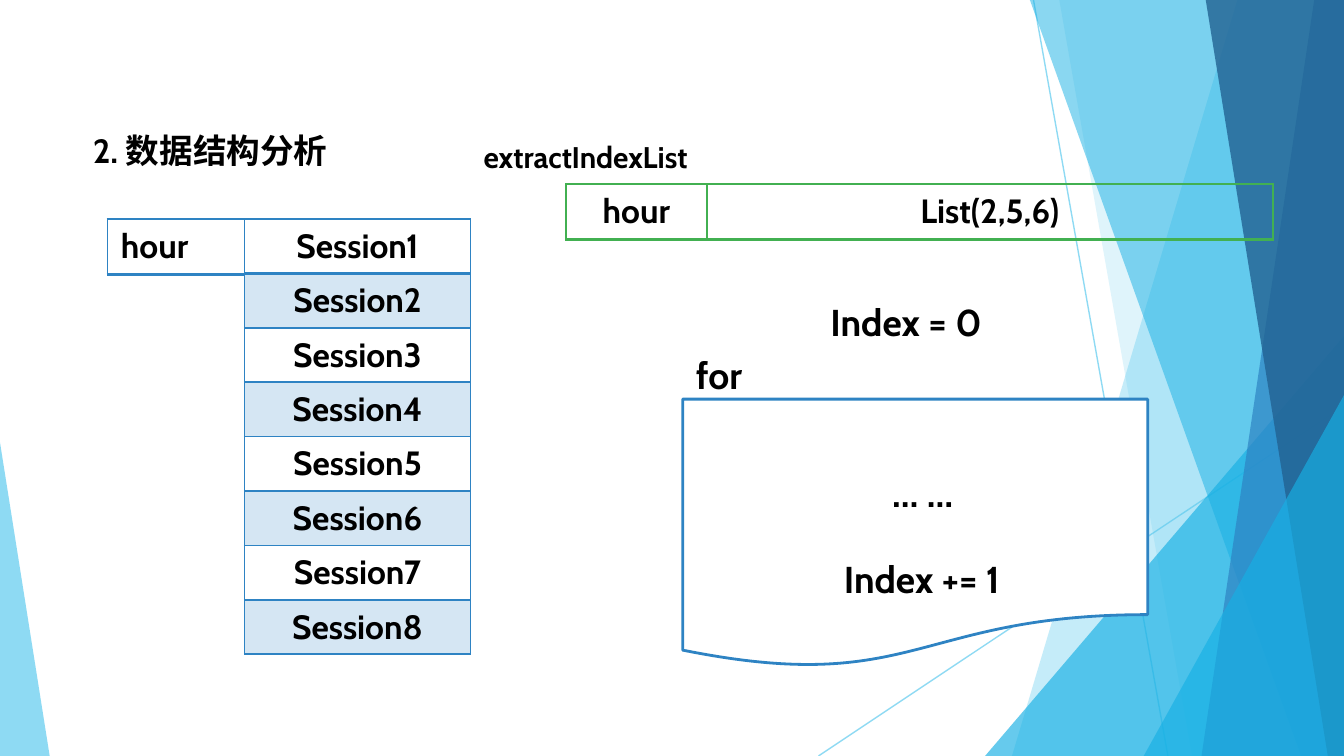
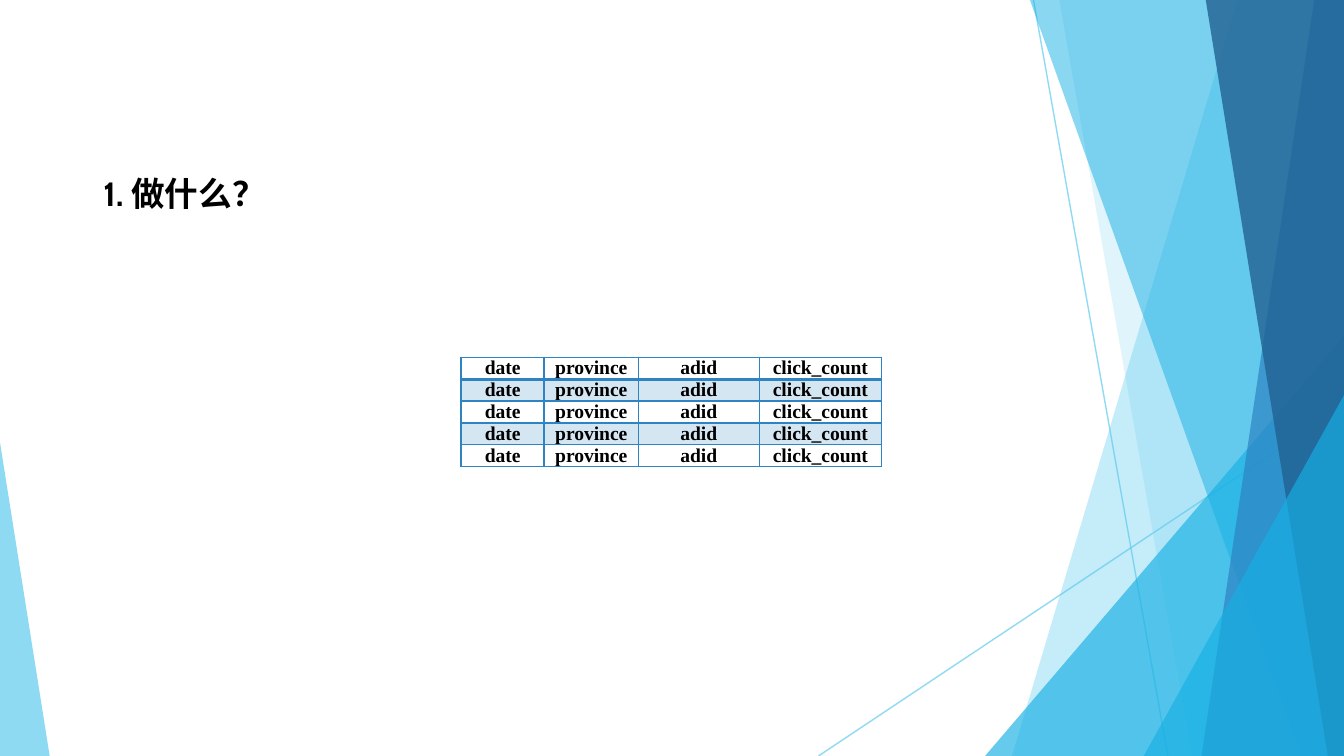
from pptx import Presentation
from pptx.dml.color import RGBColor
from pptx.enum.shapes import MSO_CONNECTOR, MSO_SHAPE
from pptx.enum.text import MSO_ANCHOR, PP_ALIGN
from pptx.oxml.ns import qn
from pptx.util import Inches, Pt
from lxml.etree import SubElement

# Shared look, on a 16:9 page
WIDE = 10
HIGH = WIDE * 9 / 16
SKY, CYAN, BLUE, NAVY = "5FCBEF", "17B0E4", "2E83C3", "226292"
GREEN, BLACK, WHITE = "42B051", "000000", "FFFFFF"
SANS, SERIF = "Cabin", "Times New Roman"

# Backdrop, back to front: rays are x1, y1, x2, y2
RAYS = [(7.69, 0, 8.69, HIGH), (WIDE, 3.02, 6.09, HIGH)]
# Bands run from their slanted left edge (top x, bottom x) to the slide edge;
# peaks are triangles standing on the bottom: left, top, width, apex
FACETS = [
    ("band", (9.21, 7.53), SKY, 36),
    ("band", (7.88, 8.87), SKY, 20),
    ("peak", (7.33, 2.5, 2.67, 1), CYAN, 66),
    ("band", (7.66, 9.68), CYAN, 50),
    ("band", (9.78, 8.94), BLUE, 70),
    ("band", (8.97, 9.88), NAVY, 80),
    ("peak", (8.51, 2.94, 1.49, 1), CYAN, 66),
    ("peak", (0, 3.29, 0.37, 0), SKY, 70),
]

# Slide content
BIG = {"name": SANS, "size": Pt(18)}
SMALL = {"name": SERIF, "size": Pt(10.5)}
PAGES = [
    {
        "title": ("2. 数据结构分析", 0.59, 0.92, 2.44),
        "page": (5.08, 2.97, 3.46, 2),
        "notes": [
            ("for", 5.08, 2.57, 0.55, 20),
            ("Index = 0", 6.08, 2.18, 1.42, 20),
            ("Index += 1", 6.18, 4.09, 1.42, 20),
            ("… …", 6.54, 3.45, 0.69, 20),
            ("extractIndexList", 3.5, 0.98, 2.17, 16),
        ],
        "grids": [
            {"at": (1.82, 1.63), "cols": [1.68], "high": 3.24, "font": BIG,
             "rows": [[f"Session{n}"] for n in range(1, 9)]},
            {"at": (4.21, 1.37), "cols": [1.05, 4.21], "high": 0.41,
             "font": BIG, "rows": [["hour", "List(2,5,6)"]], "edge": GREEN},
            {"at": (0.8, 1.63), "cols": [1.02], "high": 0.41, "font": BIG,
             "rows": [["hour"]], "align": PP_ALIGN.LEFT},
        ],
    },
    {
        "title": ("1. 做什么？", 0.67, 1.24, 1.42),
        "grids": [
            {"at": (3.43, 2.66), "cols": [0.62, 0.7, 0.9, 0.91], "high": 0.8,
             "font": SMALL, "pad": (0.07, 0),
             "rows": [["date", "province", "adid", "click_count"]] * 5},
        ],
    },
]


def rgb(code):
    return RGBColor.from_string(code)


def fade(node, part):
    for color in node.iter(qn("a:srgbClr")):
        SubElement(color, qn("a:alpha"), val=str(part * 1000))


def write(frame, text, font, align=PP_ALIGN.LEFT):
    para = frame.paragraphs[0]
    para.alignment = align
    run = para.add_run()
    run.text = text
    for key, value in {"bold": True, **font}.items():
        setattr(run.font, key, value)
    run.font.color.rgb = rgb(BLACK)


def ray(shapes, ends):
    line = shapes.add_connector(MSO_CONNECTOR.STRAIGHT, *map(Inches, ends))
    line.line.color.rgb = rgb(SKY)
    line.line.width = Pt(0.75)
    fade(line._element.spPr, 70)
    SubElement(line._element.spPr, qn("a:effectLst"))
    return line


def facet(shapes, kind, size, color, part):
    if kind == "band":
        top, foot = size
        pen = shapes.build_freeform(Inches(top), Inches(-0.01), scale=1)
        edge = [(WIDE, -0.01), (WIDE, HIGH), (foot, HIGH)]
        pen.add_line_segments([(Inches(x), Inches(y)) for x, y in edge])
        shape = pen.convert_to_shape()
    else:
        left, top, width, apex = size
        box = map(Inches, (left, top, width, HIGH - top))
        shape = shapes.add_shape(MSO_SHAPE.ISOSCELES_TRIANGLE, *box)
        shape.adjustments[0] = apex
    shape.shadow.inherit = False
    shape.fill.solid()
    shape.fill.fore_color.rgb = rgb(color)
    shape.line.fill.background()
    fade(shape._element.spPr, part)
    return shape


def backdrop(layout, slide):
    """Draw the rays and facets, then hand them to the shared layout."""
    for holder in list(layout.placeholders)[1:]:
        holder._element.getparent().remove(holder._element)
    parts = [ray(slide.shapes, ends) for ends in RAYS]
    parts += [facet(slide.shapes, *item) for item in FACETS]
    for part in parts:
        layout.shapes._spTree.append(part._element)


def border(cell, color, sides):
    props = cell._tc.get_or_add_tcPr()
    for side, width in sides.items():
        line = SubElement(props, qn(f"a:ln{side}"), w=str(Pt(width)))
        fill = SubElement(line, qn("a:solidFill"))
        SubElement(fill, qn("a:srgbClr"), val=color)


def grid(shapes, at, cols, high, rows, font, edge=BLUE,
         align=PP_ALIGN.CENTER, pad=(0.1, 0.05)):
    box = map(Inches, (*at, sum(cols), high))
    table = shapes.add_table(len(rows), len(cols), *box).table
    table.first_row = table.horz_banding = False
    for col, width in zip(table.columns, cols):
        col.width = Inches(width)
    for r, texts in enumerate(rows):
        for c, text in enumerate(texts):
            cell = table.cell(r, c)
            cell.margin_left = cell.margin_right = Inches(pad[0])
            cell.margin_top = cell.margin_bottom = Inches(pad[1])
            write(cell.text_frame, text, font, align)
            # The rule under the first row is heavier
            border(cell, edge, {"L": 1, "R": 1, "T": 2 if r == 1 else 1,
                                "B": 2 if r == 0 else 1})
            if r % 2:
                cell.fill.solid()
                cell.fill.fore_color.rgb = rgb(BLUE)
                fade(cell._tc.tcPr.find(qn("a:solidFill")), 20)
            else:
                cell.fill.background()


def head(slide, text, left, top, width):
    title = slide.shapes.title
    title.left, title.top = Inches(left), Inches(top)
    title.width, title.height = Inches(width), Inches(0.4)
    title.text_frame.vertical_anchor = MSO_ANCHOR.TOP
    title.text_frame.word_wrap = True
    write(title.text_frame, text, BIG)


def sheet(shapes, box):
    shape = shapes.add_shape(MSO_SHAPE.FLOWCHART_DOCUMENT, *map(Inches, box))
    shape.shadow.inherit = False
    shape.fill.solid()
    shape.fill.fore_color.rgb = rgb(WHITE)
    shape.line.color.rgb = rgb(BLUE)
    shape.line.width = Pt(1.5)


def note(shapes, text, left, top, width, size):
    high = 0.44 if size == 20 else 0.37
    box = shapes.add_textbox(*map(Inches, (left, top, width, high)))
    box.text_frame.word_wrap = True
    write(box.text_frame, text, {"name": SANS, "size": Pt(size)})


def main():
    deck = Presentation()
    deck.slide_width, deck.slide_height = Inches(WIDE), Inches(HIGH)
    layout = deck.slide_layouts[5]
    for index, page in enumerate(PAGES):
        slide = deck.slides.add_slide(layout)
        if index == 0:
            backdrop(layout, slide)
        head(slide, *page["title"])
        if "page" in page:
            sheet(slide.shapes, page["page"])
        for item in page.get("notes", []):
            note(slide.shapes, *item)
        for item in page["grids"]:
            grid(slide.shapes, **item)
    deck.save("out.pptx")


if __name__ == "__main__":
    main()
